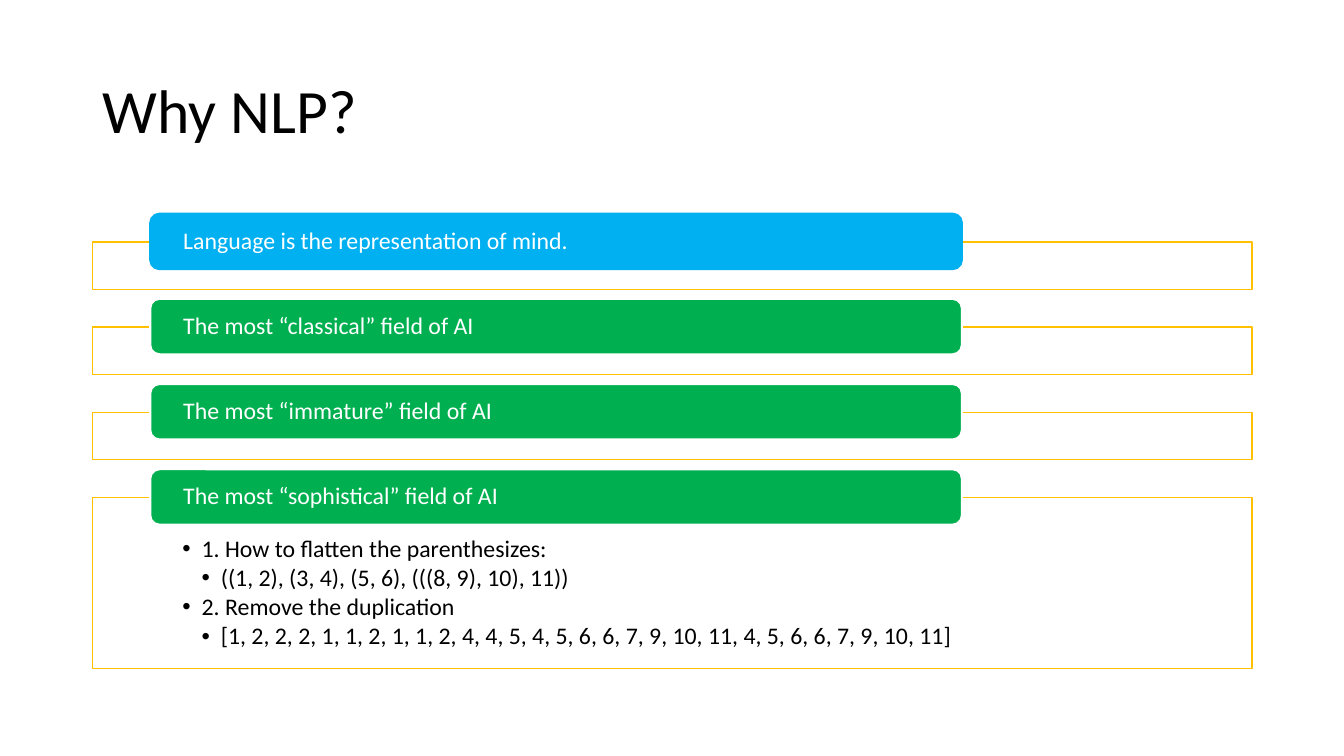
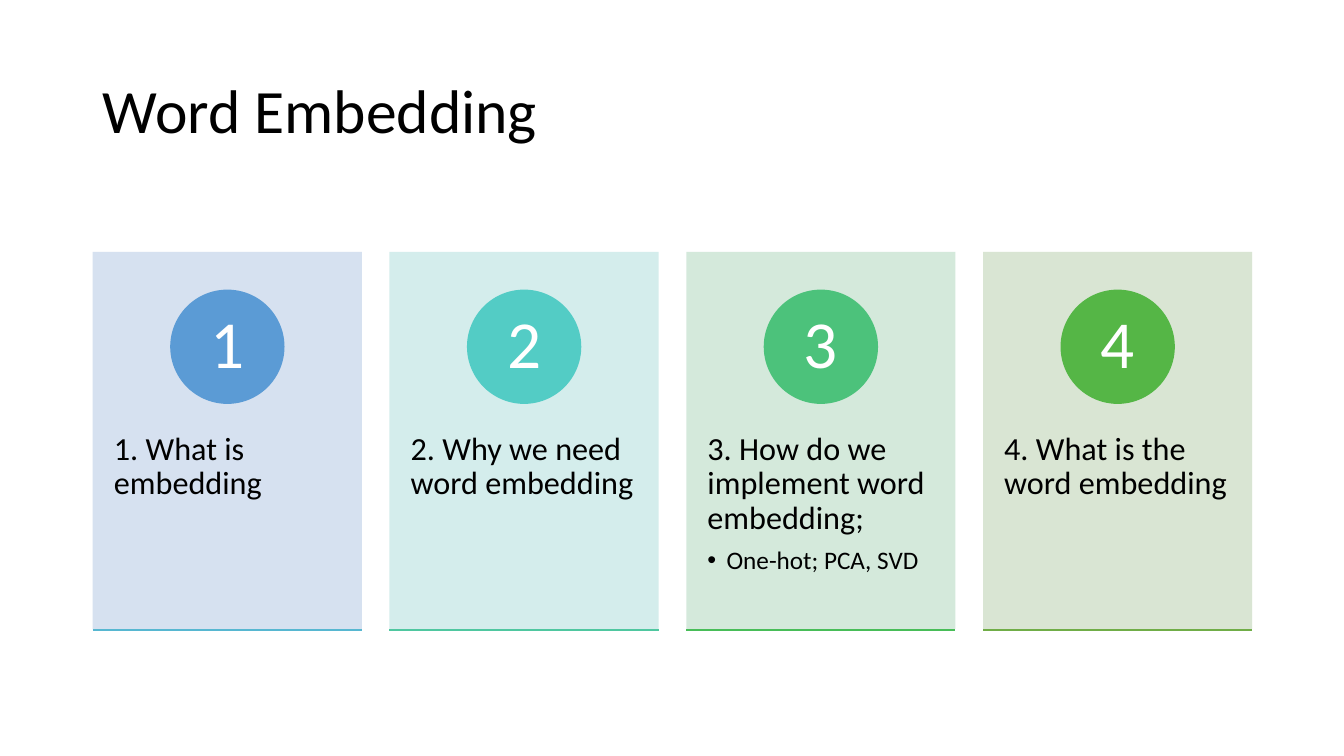
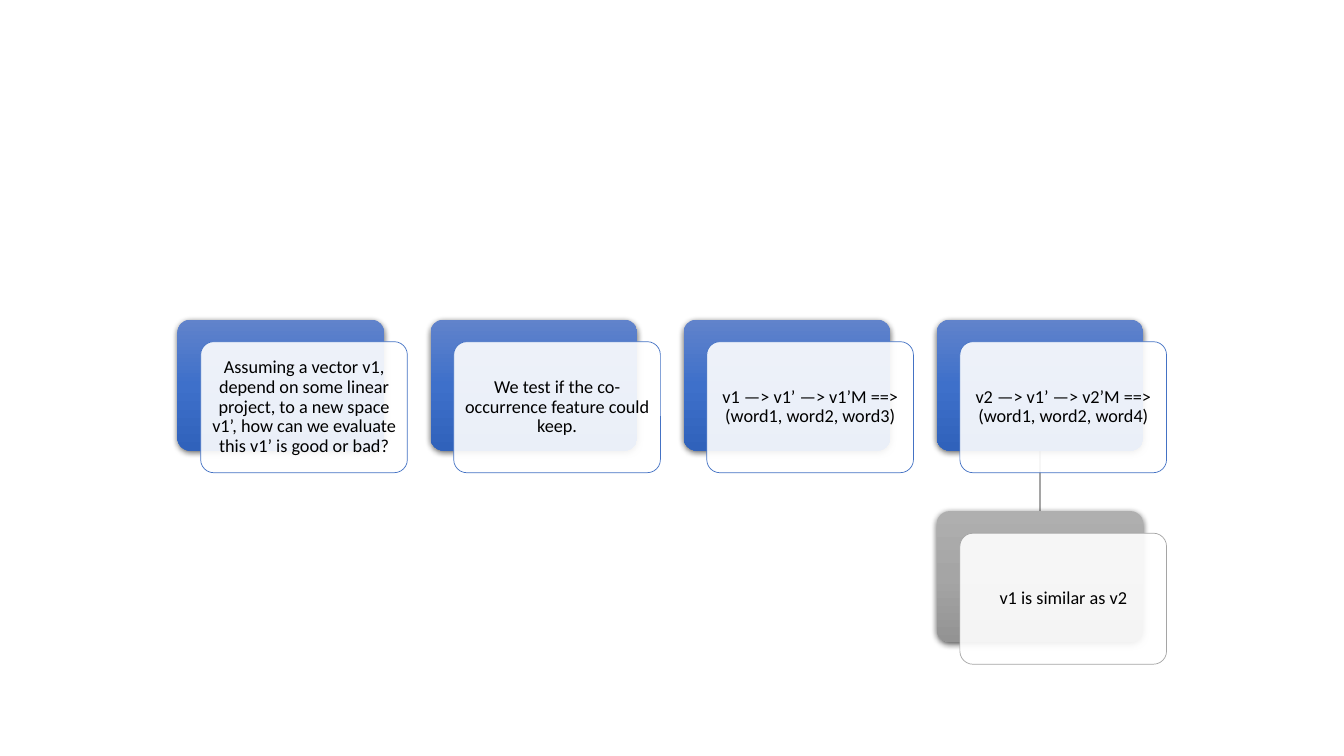
from copy import deepcopy

from lxml.etree import SubElement
from pptx import Presentation
from pptx.dml.color import RGBColor
from pptx.enum.shapes import MSO_CONNECTOR, MSO_SHAPE
from pptx.enum.text import MSO_ANCHOR, MSO_AUTO_SIZE, PP_ALIGN
from pptx.oxml.ns import qn
from pptx.util import Inches, Pt

FONT = "Calibri"
LEFT, CONTENT_WIDTH = 0.92, 11.5
TITLE_ONLY, BLANK = 5, 6
BULLET_INDENT = 0.19

COLORS = {
    "text": "000000",
    "white": "FFFFFF",
    "frame": "FFC000",
    "highlight": "00B0F0",
    "reason": "00B050",
    "step": "4472C4",
    "result": "A5A5A5",
}
STEP_GRADIENT = ("6183CB", "3E70CA", "3062BB")
RESULT_GRADIENT = ("AFAFAF", "A5A5A5", "939393")

REASONS = [
    "Language is the representation of mind.",
    "The most “classical” field of AI",
    "The most “immature” field of AI",
    "The most “sophistical” field of AI",
]
EXERCISES = [
    ("1. How to flatten the parenthesizes:", 1),
    ("((1, 2), (3, 4), (5, 6), (((8, 9), 10), 11))", 2),
    ("2. Remove the duplication", 1),
    ("[1, 2, 2, 2, 1, 1, 2, 1, 1, 2, 4, 4, 5, 4, 5, 6, 6, 7, 9, 10, 11, "
     "4, 5, 6, 6, 7, 9, 10, 11]", 2),
]
# question, sub-point, card colour, circle colour, base line colour
TOPICS = [
    ("1. What is embedding", None, "D2DEEF", "5B9BD5", "57B7D1"),
    ("2. Why we need word embedding", None, "D0ECEA", "53CCC5", "4FC7A0"),
    ("3. How do we implement word embedding;", "One-hot; PCA, SVD",
     "D0E7D8", "4CC27B", "48BD58"),
    ("4. What is the word embedding", None, "D5E3CF", "55B646", "70AD47"),
]
STEPS = [
    "Assuming a vector v1, depend on some linear project, to a new space v1’, "
    "how can we evaluate this v1’ is good or bad?",
    "We test if the co-occurrence feature could keep.",
    "v1 —> v1’ —> v1’M ==> (word1, word2, word3)",
    "v2 —> v1’ —> v2’M ==> (word1, word2, word4)",
]


def rgb(color):
    return RGBColor.from_string(color)


def add_panel(slide, preset, box, fill=None, line=None, line_width=1, alpha=None):
    """Add a preset shape; alpha is the opacity of its fill in percent."""
    panel = slide.shapes.add_shape(preset, *map(Inches, box))
    panel.shadow.inherit = False
    if fill:
        panel.fill.solid()
        panel.fill.fore_color.rgb = rgb(fill)
    if alpha:
        color = panel._element.spPr.find(f"{qn('a:solidFill')}/{qn('a:srgbClr')}")
        SubElement(color, qn("a:alpha"), val=str(alpha * 1000))
    if line:
        panel.line.color.rgb = rgb(line)
        panel.line.width = Pt(line_width)
    else:
        panel.line.fill.background()
    return panel


def add_line(slide, start, end, color):
    line = slide.shapes.add_connector(
        MSO_CONNECTOR.STRAIGHT, *map(Inches, (*start, *end)))
    line.line.color.rgb = rgb(color)
    line.line.width = Pt(1)
    SubElement(line._element.spPr, qn("a:effectLst"))
    return line


def set_frame(shape, insets, anchor=MSO_ANCHOR.MIDDLE):
    frame = shape.text_frame
    frame.word_wrap = True
    frame.auto_size = MSO_AUTO_SIZE.NONE
    frame.vertical_anchor = anchor
    (frame.margin_left, frame.margin_top,
     frame.margin_right, frame.margin_bottom) = map(Inches, insets)
    return frame


def write(paragraph, text, size, color="text", align=PP_ALIGN.LEFT, bullet_level=0, after=0):
    paragraph.text = text
    paragraph.alignment = align
    paragraph.line_spacing = 0.9
    paragraph.space_before = Pt(0)
    paragraph.space_after = Pt(after)
    if bullet_level:
        properties = paragraph._p.get_or_add_pPr()
        properties.set("marL", str(Inches(BULLET_INDENT * bullet_level)))
        properties.set("indent", str(-Inches(BULLET_INDENT)))
        SubElement(properties, qn("a:buFont"), typeface="Arial")
        SubElement(properties, qn("a:buChar"), char="•")
    for run in paragraph.runs:
        run.font.name = FONT
        run.font.size = Pt(size)
        run.font.color.rgb = rgb(COLORS[color])


def add_titled_slide(deck, title):
    slide = deck.slides.add_slide(deck.slide_layouts[TITLE_ONLY])
    heading = slide.shapes.title
    heading.left, heading.top, heading.width, heading.height = map(
        Inches, (LEFT, 0.4, CONTENT_WIDTH, 1.45))
    frame = set_frame(heading, (0.1, 0.05, 0.1, 0.05))
    write(frame.paragraphs[0], title, 44)
    return slide


def add_reason(slide, row, reason, exercises=()):
    """Add an outlined frame, any exercises in it, and the label on its top edge."""
    top = 2.12 + 0.845 * row
    height = 1.7 if exercises else 0.47
    frame = add_panel(slide, MSO_SHAPE.RECTANGLE, (LEFT, top + 0.28, CONTENT_WIDTH, height),
                      COLORS["white"], COLORS["frame"], alpha=90)
    if exercises:
        body = set_frame(frame, (0.89, 0.39, 0.89, 0.13), MSO_ANCHOR.TOP)
        for index, (text, level) in enumerate(exercises):
            paragraph = body.add_paragraph() if index else body.paragraphs[0]
            write(paragraph, text, 17, bullet_level=level, after=2.5)
    fill, line = ("reason", "white") if row else ("highlight", "highlight")
    label = add_panel(slide, MSO_SHAPE.ROUNDED_RECTANGLE, (1.49, top, 8.05, 0.55),
                      COLORS[fill], COLORS[line], 1.5)
    write(set_frame(label, (0.3, 0, 0.3, 0)).paragraphs[0], reason, 17, "white")


def add_topic(slide, column, question, point, card_color, circle_color, base_color):
    width, top, height, diameter = 2.67, 2.5, 3.74, 1.12
    gap = (CONTENT_WIDTH - len(TOPICS) * width) / (len(TOPICS) - 1)
    left = LEFT + column * (width + gap)
    card = add_panel(slide, MSO_SHAPE.RECTANGLE, (left, top, width, height),
                     card_color, alpha=90)
    body = set_frame(card, (0.21, 1.79, 0.21, 0.36), MSO_ANCHOR.TOP)
    write(body.paragraphs[0], question, 23, after=8)
    if point:
        write(body.add_paragraph(), point, 18, bullet_level=1)
    circle = add_panel(
        slide, MSO_SHAPE.OVAL,
        (left + (width - diameter) / 2, top + 0.38, diameter, diameter),
        circle_color, circle_color)
    write(set_frame(circle, (0.09, 0.01, 0.09, 0.01)).paragraphs[0],
          str(column + 1), 48, "white", PP_ALIGN.CENTER)
    base = top + height + 0.01
    add_line(slide, (left, base), (left + width, base), base_color)


def fill_gradient(shape, colors):
    shape.fill.gradient()
    shape.fill.gradient_angle = 270
    stops = shape._element.spPr.find(f"{qn('a:gradFill')}/{qn('a:gsLst')}")
    stops.insert(1, deepcopy(stops[0]))
    for stop, color, position in zip(shape.fill.gradient_stops, colors, (0, 0.5, 1)):
        stop.color.rgb = rgb(color)
        stop.position = position


def cast_shadow(shape):
    effects = shape._element.spPr.find(qn("a:effectLst"))
    shadow = SubElement(effects, qn("a:outerShdw"), blurRad=str(Pt(4.5)), dist=str(Pt(1.5)),
                        dir="5400000", algn="ctr", rotWithShape="0")
    color = SubElement(shadow, qn("a:srgbClr"), val="000000")
    SubElement(color, qn("a:alpha"), val="63000")


def add_node(slide, column, row, text, gradient, outline):
    """Add a shaded back plate with a text plate over it; return the back plate."""
    left, top, size = 1.76 + 2.51 * column, 3.17 + 1.9 * row, (2.05, 1.3)
    back = add_panel(slide, MSO_SHAPE.ROUNDED_RECTANGLE, (left, top, *size))
    fill_gradient(back, gradient)
    cast_shadow(back)
    front = add_panel(slide, MSO_SHAPE.ROUNDED_RECTANGLE, (left + 0.23, top + 0.22, *size),
                      COLORS["white"], COLORS[outline], 0.5, alpha=90)
    back.adjustments[0] = front.adjustments[0] = 0.1
    write(set_frame(front, (0.05,) * 4).paragraphs[0], text, 13, align=PP_ALIGN.CENTER)
    return back


def build_reasons(deck):
    slide = add_titled_slide(deck, "Why NLP?")
    for row, reason in enumerate(REASONS):
        add_reason(slide, row, reason, EXERCISES if row == len(REASONS) - 1 else ())


def build_topics(deck):
    slide = add_titled_slide(deck, "Word Embedding")
    for column, topic in enumerate(TOPICS):
        add_topic(slide, column, *topic)


def build_evaluation(deck):
    slide = deck.slides.add_slide(deck.slide_layouts[BLANK])
    link = add_line(slide, (10.32, 4.47), (10.32, 5.07), COLORS["result"])
    nodes = [add_node(slide, column, 0, step, STEP_GRADIENT, "step")
             for column, step in enumerate(STEPS)]
    result = add_node(slide, len(STEPS) - 1, 1, "v1 is similar as v2", RESULT_GRADIENT, "result")
    link.begin_connect(nodes[-1], 2)
    link.end_connect(result, 0)


def main():
    deck = Presentation()
    deck.slide_width, deck.slide_height = Inches(13.33), Inches(7.5)
    build_reasons(deck)
    build_topics(deck)
    build_evaluation(deck)
    deck.save("out.pptx")


if __name__ == "__main__":
    main()
